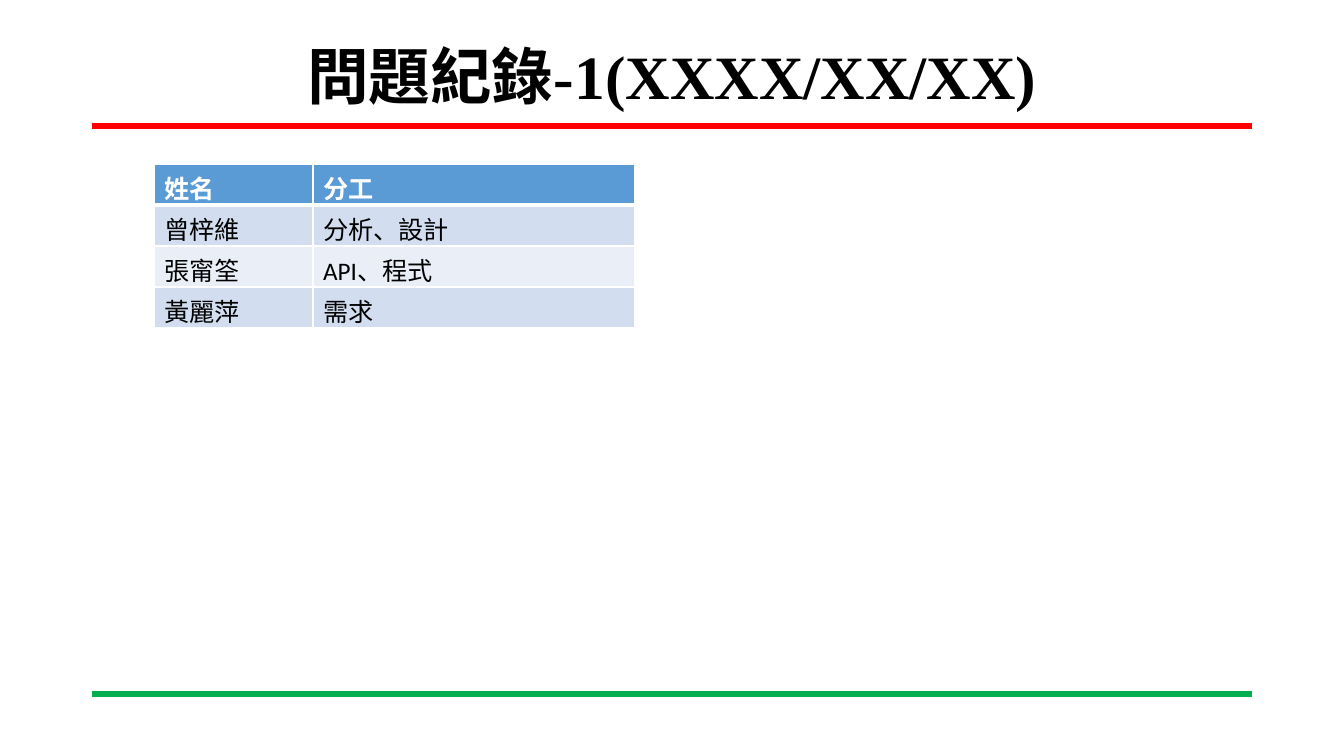
from dataclasses import dataclass

from lxml import etree
from pptx import Presentation
from pptx.dml.color import RGBColor
from pptx.enum.shapes import MSO_CONNECTOR
from pptx.enum.text import MSO_ANCHOR, PP_ALIGN
from pptx.oxml.ns import qn
from pptx.util import Pt

STRAIGHT = MSO_CONNECTOR.STRAIGHT
MIDDLE = MSO_ANCHOR.MIDDLE
CENTER = PP_ALIGN.CENTER
SCALE = 914400 / 100.8


@dataclass(frozen=True)
class Theme:
    red: str = "FF0000"
    green: str = "00B050"
    black: str = "000000"
    white: str = "FFFFFF"
    head: str = "5B9BD5"
    bands: tuple = ("D2DEEF", "EAEFF7")
    serif: str = "Times New Roman"
    sans: str = "Calibri"
    title: int = 44
    body: int = 18
    rule: float = 4.5
    thin: int = 1
    thick: int = 3


THEME = Theme()
ROWS = (
    ("姓名", "分工"),
    ("曾梓維", "分析、設計"),
    ("張甯筌", "API、程式"),
    ("黃麗萍", "需求"),
)


def px(size):
    return round(size * SCALE)


def style(font, face, size, color, bold):
    font.name = face
    font.size = Pt(size)
    font.color.rgb = RGBColor.from_string(color)
    font.bold = bold


def add_rule(slide, left, top, width, color):
    rule = slide.shapes.add_connector(
        STRAIGHT, px(left), px(top), px(left + width), px(top))
    rule.line.color.rgb = RGBColor.from_string(color)
    rule.line.width = Pt(THEME.rule)
    etree.SubElement(rule._element.spPr, qn("a:effectLst"))


def add_title(slide, left, top, width, height, text):
    box = slide.shapes.add_textbox(px(left), px(top), px(width), px(height))
    frame = box.text_frame
    frame.word_wrap = True
    frame.vertical_anchor = MIDDLE
    line = frame.paragraphs[0]
    line.text = text
    line.alignment = CENTER
    line.line_spacing = 0.9
    style(line.font, THEME.serif, THEME.title, THEME.black, True)


def add_edges(cell, head):
    props = cell._tc.get_or_add_tcPr()
    for place, side in enumerate(("lnL", "lnR", "lnT", "lnB")):
        width = THEME.thick if head and side == "lnB" else THEME.thin
        edge = etree.Element(qn(f"a:{side}"), w=str(Pt(width)))
        fill = etree.SubElement(edge, qn("a:solidFill"))
        etree.SubElement(fill, qn("a:srgbClr"), val=THEME.white)
        props.insert(place, edge)


def add_roster(slide, left, top, widths, height, rows):
    table = slide.shapes.add_table(
        len(rows), len(widths), px(left), px(top),
        px(sum(widths)), px(height * len(rows))).table
    for column, width in zip(table.columns, widths):
        column.width = px(width)
    for i, row in enumerate(rows):
        table.rows[i].height = px(height)
        head = i == 0
        fill = THEME.head if head else THEME.bands[(i - 1) % 2]
        color = THEME.white if head else THEME.black
        for j, text in enumerate(row):
            cell = table.cell(i, j)
            cell.fill.solid()
            cell.fill.fore_color.rgb = RGBColor.from_string(fill)
            line = cell.text_frame.paragraphs[0]
            line.text = text
            face = THEME.sans if head or j else THEME.serif
            style(line.font, face, THEME.body, color, head)
            add_edges(cell, head and i == 0)


def main():
    deck = Presentation()
    deck.slide_width, deck.slide_height = px(1344), px(756)
    slide = deck.slides.add_slide(deck.slide_layouts[6])
    left, width = 92, 1160
    add_rule(slide, left, 126, width, THEME.red)
    add_rule(slide, left, 694, width, THEME.green)
    add_title(slide, left, 40, width, 80, "問題紀錄-1(XXXX/XX/XX)")
    add_roster(slide, 154, 164, (159, 322), 41, ROWS)
    deck.save("out.pptx")


if __name__ == "__main__":
    main()
